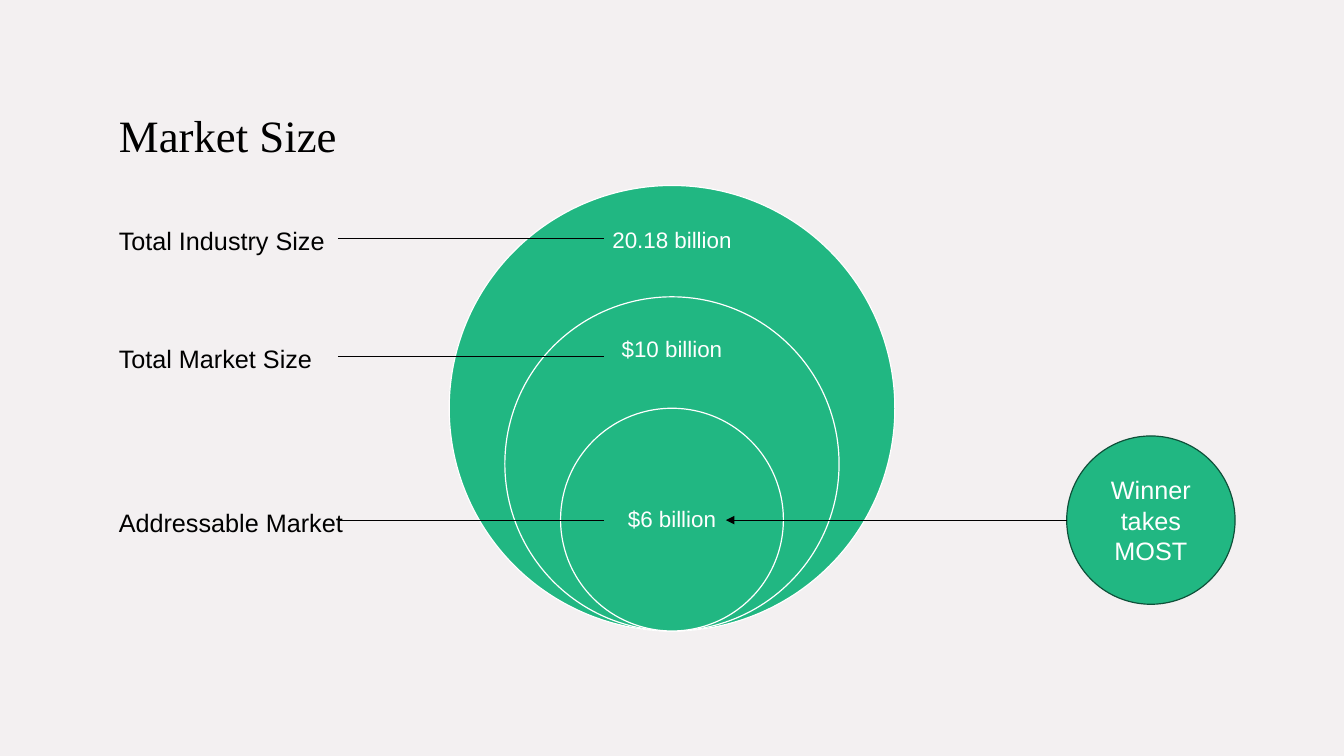
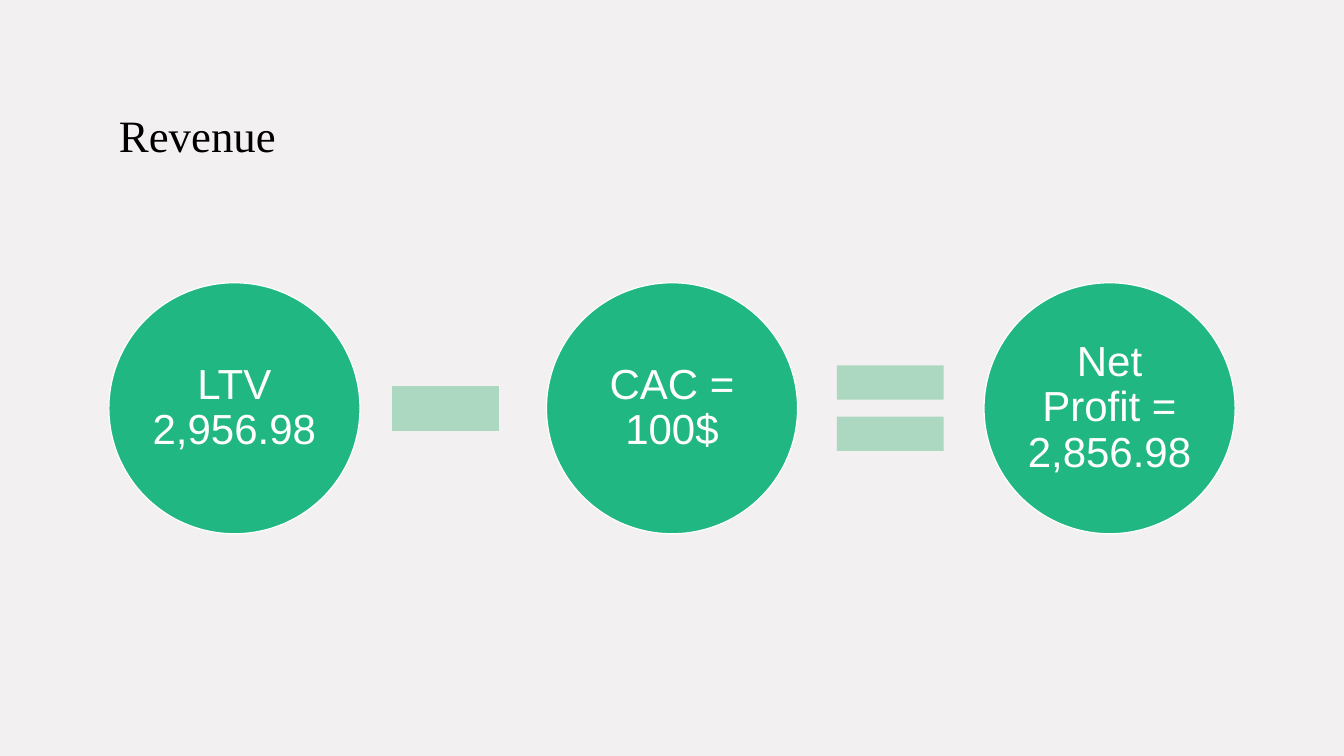
from lxml import etree
from pptx import Presentation
from pptx.dml.color import RGBColor
from pptx.enum.shapes import MSO_CONNECTOR, MSO_SHAPE
from pptx.enum.text import MSO_ANCHOR, PP_ALIGN
from pptx.oxml.ns import qn
from pptx.util import Inches, Pt

OVAL, MINUS, EQUAL = MSO_SHAPE.OVAL, MSO_SHAPE.MATH_MINUS, MSO_SHAPE.MATH_EQUAL
STRAIGHT = MSO_CONNECTOR.STRAIGHT
LEFT, CENTER = PP_ALIGN.LEFT, PP_ALIGN.CENTER
MIDDLE, BOTTOM = MSO_ANCHOR.MIDDLE, MSO_ANCHOR.BOTTOM

# Shared look
PAPER, INK, WHITE = "F3F0F1", "000000", "FFFFFF"
GREEN, DARK_GREEN, PALE_GREEN = "21B782", "0E5039", "ACD8C1"
BODY_FONT, TITLE_FONT = "Arial", "Times New Roman"

# Shared grid, in inches
WIDTH, HEIGHT = 13.33, 7.5
MARGIN = 1.08
CONTENT = WIDTH - 2 * MARGIN
MIDDLE_X = WIDTH / 2


def color(value):
    return RGBColor.from_string(value)


def write(frame, text, size, ink, align=CENTER, anchor=MIDDLE,
          font=BODY_FONT, inset=(0.1, 0.05), spacing=1.0):
    """Fill a text frame with one evenly formatted paragraph."""
    frame.word_wrap = True
    frame.vertical_anchor = anchor
    frame.margin_left = frame.margin_right = Inches(inset[0])
    frame.margin_top = frame.margin_bottom = Inches(inset[1])
    para = frame.paragraphs[0]
    para.text = text
    para.alignment = align
    para.line_spacing = spacing
    para.font.name = font
    para.font.size = Pt(size)
    para.font.color.rgb = color(ink)


def add_page(deck, title):
    page = deck.slides.add_slide(deck.slide_layouts[5])
    box = page.shapes.title
    box.left, box.top = Inches(MARGIN), Inches(0.43)
    box.width, box.height = Inches(CONTENT), Inches(1.22)
    write(box.text_frame, title, 32, INK, LEFT, BOTTOM, TITLE_FONT)
    return page


def add_figure(page, kind, center_x, center_y, width, height, fill, line=None):
    """Place a preset shape by its centre."""
    shape = page.shapes.add_shape(
        kind, Inches(center_x - width / 2), Inches(center_y - height / 2),
        Inches(width), Inches(height))
    shape.shadow.inherit = False
    shape.fill.solid()
    shape.fill.fore_color.rgb = color(fill)
    if line:
        shape.line.color.rgb = color(line)
        shape.line.width = Pt(0.85)
    else:
        shape.line.fill.background()
    return shape


def add_circle(page, center_x, center_y, diameter, line=WHITE):
    return add_figure(page, OVAL, center_x, center_y, diameter, diameter,
                      GREEN, line)


def add_text(page, left, center_y, width, height, text, size, ink, **style):
    box = page.shapes.add_textbox(
        Inches(left), Inches(center_y - height / 2),
        Inches(width), Inches(height))
    write(box.text_frame, text, size, ink, **style)


def add_line(page, start_x, end_x, y, arrow=False):
    line = page.shapes.add_connector(
        STRAIGHT, Inches(start_x), Inches(y), Inches(end_x), Inches(y))
    line.line.color.rgb = color(INK)
    line.line.width = Pt(0.75)
    if arrow:
        etree.SubElement(line.line._get_or_add_ln(), qn("a:tailEnd"),
                         type="triangle")
    etree.SubElement(line._element.spPr, qn("a:effectLst"))


def build_market_size(deck):
    page = add_page(deck, "Market Size")

    # Nested circles resting on one base point
    outer, base = 4.42, 6.26
    for share in (1, 0.75, 0.5):
        diameter = outer * share
        add_circle(page, MIDDLE_X, base - diameter / 2, diameter)

    # Values, row labels and the lines that join them
    value_width = 1.54
    rows = [
        ("Total Industry Size", 2.37, "20.18 billion", 2.39),
        ("Total Market Size", 3.54, "$10 billion", 3.47),
        ("Addressable Market", 5.16, "$6 billion", 5.16),
    ]
    for label, line_y, value, value_y in rows:
        add_text(page, MIDDLE_X - value_width / 2, value_y, value_width, 0.66,
                 value, 16, WHITE, inset=(0.12, 0.12), spacing=0.9)
        add_text(page, MARGIN, line_y + 0.02, 2.6, 0.4, label, 18, INK,
                 align=LEFT)
        add_line(page, 3.35, 5.99, line_y)

    # Callout on the addressable market
    size, callout_y = 1.67, rows[-1][1]
    right = MARGIN + CONTENT
    callout = add_circle(page, right - size / 2, callout_y, size, DARK_GREEN)
    write(callout.text_frame, "Winner takes MOST", 18, WHITE)
    add_line(page, right - size, 7.2, callout_y, arrow=True)


def build_revenue(deck):
    page = add_page(deck, "Revenue")
    row_y, diameter = 4.05, 2.49

    # Terms, evenly spread between the margins
    terms = ["LTV 2,956.98", "CAC = 100$", "Net Profit = 2,856.98"]
    pitch = (CONTENT - diameter) / (len(terms) - 1)
    for column, term in enumerate(terms):
        circle = add_circle(page, MARGIN + diameter / 2 + column * pitch,
                            row_y, diameter)
        write(circle.text_frame, term, 30, WHITE, inset=(0.04, 0.04),
              spacing=0.9)

    # Operators in the gaps
    for kind, center_x, height in ((MINUS, 4.42, 1.91), (EQUAL, 8.83, 1.44)):
        add_figure(page, kind, center_x, row_y, 1.44, height, PALE_GREEN)


def main():
    deck = Presentation()
    deck.slide_width, deck.slide_height = Inches(WIDTH), Inches(HEIGHT)
    backdrop = deck.slide_master.background.fill
    backdrop.solid()
    backdrop.fore_color.rgb = color(PAPER)
    build_market_size(deck)
    build_revenue(deck)
    deck.save("out.pptx")


if __name__ == "__main__":
    main()
